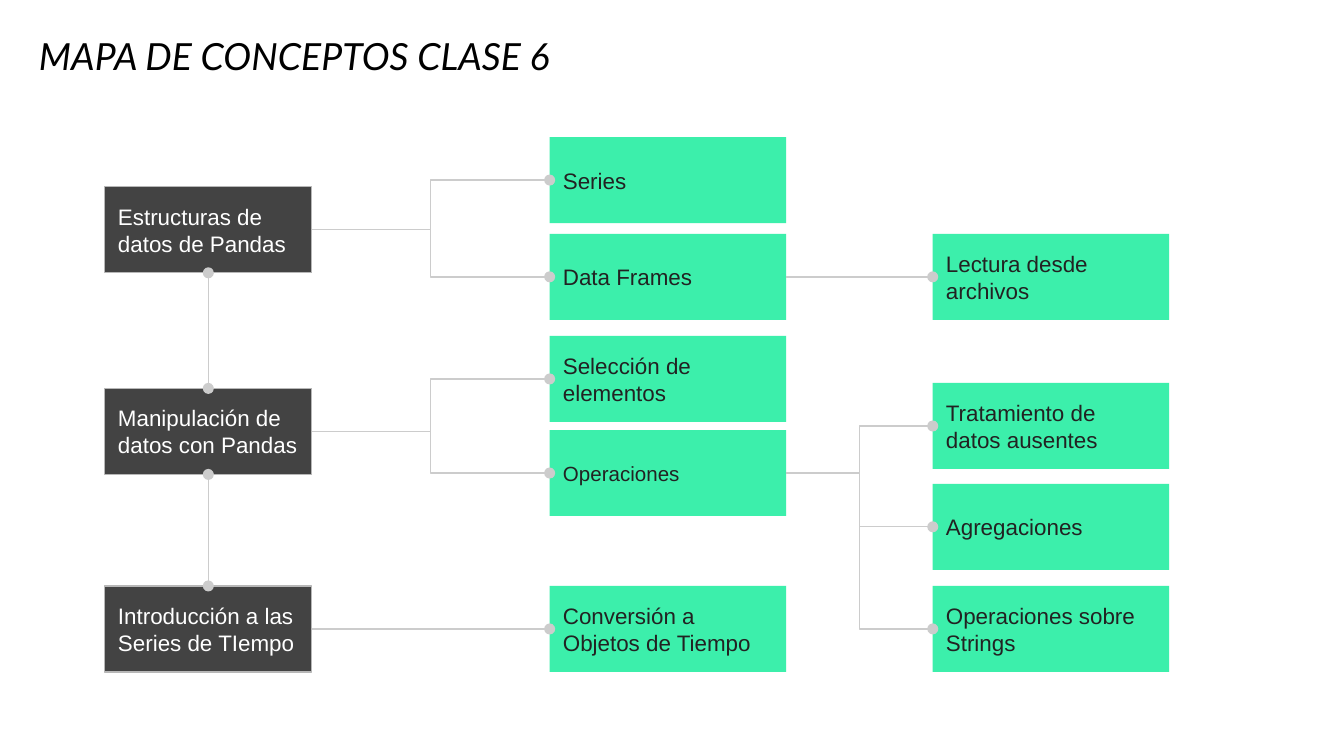
import pptx
import pptx.util
import pptx.dml.color
import pptx.enum.shapes
import pptx.enum.text
import pptx.oxml.ns
from lxml import etree

Inches, Pt = pptx.util.Inches, pptx.util.Pt
RGB = pptx.dml.color.RGBColor.from_string
SHAPE = pptx.enum.shapes.MSO_SHAPE.RECTANGLE
LINK = pptx.enum.shapes.MSO_CONNECTOR
TEXT = pptx.enum.text
qn = pptx.oxml.ns.qn

# Content: key -> (column, top, text)
TITLE = "MAPA DE CONCEPTOS CLASE 6"
CONCEPTS = {
    "structures": (0, 1.39, "Estructuras de datos de Pandas"),
    "handling": (0, 2.89, "Manipulación de datos con Pandas"),
    "time": (0, 4.36, "Introducción a las Series de TIempo"),
    "series": (1, 1.02, "Series"),
    "frames": (1, 1.74, "Data Frames"),
    "selection": (1, 2.5, "Selección de elementos"),
    "operations": (1, 3.2, "Operaciones"),
    "conversion": (1, 4.36, "Conversión a Objetos de Tiempo"),
    "reading": (2, 1.74, "Lectura desde archivos"),
    "missing": (2, 2.85, "Tratamiento de datos ausentes"),
    "aggregation": (2, 3.6, "Agregaciones"),
    "strings": (2, 4.36, "Operaciones sobre Strings"),
}
SPINE = ["structures", "handling", "time"]
BRANCHES = {
    "structures": ["series", "frames"],
    "handling": ["selection", "operations"],
    "time": ["conversion"],
    "frames": ["reading"],
    "operations": ["missing", "aggregation", "strings"],
}

# Theme and grid
THEME = {
    "dark": "434343", "dark_text": "FFFFFF", "border": "B7B7B7",
    "green": "3CEFAB", "green_text": "222222", "link": "CCCCCC",
    "title": "000000", "title_font": "Lato", "body_font": "Arial",
    "title_size": 20, "body_size": 12, "small_size": 11, "line": 0.75,
}
SMALL = {"operations"}
SLIDE_WIDTH = 10
SLIDE_HEIGHT = SLIDE_WIDTH * 9 / 16
COLUMNS = [(0.78, 1.54), (4.09, 1.76), (6.94, 1.76)]  # left, width
BOX_HEIGHT = 0.64
TOP, LEFT, BOTTOM, RIGHT = range(4)  # connection sites of a rectangle


def write(shape, text, font, size, color, anchor, italic=False):
    tf = shape.text_frame
    tf.word_wrap = True
    tf.auto_size = TEXT.MSO_AUTO_SIZE.NONE
    tf.vertical_anchor = anchor
    tf.margin_left = tf.margin_right = tf.margin_top = tf.margin_bottom = Inches(0.1)
    p = tf.paragraphs[0]
    p.alignment = TEXT.PP_ALIGN.LEFT
    r = p.add_run()
    r.text = text
    r.font.name, r.font.size, r.font.italic = font, Pt(size), italic
    r.font.color.rgb = RGB(color)


def add_box(s, key):
    column, top, text = CONCEPTS[key]
    left, width = COLUMNS[column]
    tone = "green" if column else "dark"
    box = s.shapes.add_shape(SHAPE, Inches(left), Inches(top), Inches(width), Inches(BOX_HEIGHT))
    box.shadow.inherit = False
    box.fill.solid()
    box.fill.fore_color.rgb = RGB(THEME[tone])
    if column:
        box.line.fill.background()
    else:
        box.line.color.rgb = RGB(THEME["border"])
        box.line.width = Pt(THEME["line"])
    size = THEME["small_size" if key in SMALL else "body_size"]
    write(box, text, THEME["body_font"], size, THEME[tone + "_text"], TEXT.MSO_ANCHOR.MIDDLE)
    return box


def link(s, start, start_site, end, end_site, kind, ends):
    c = s.shapes.add_connector(kind, 0, 0, 0, 0)
    c.begin_connect(start, start_site)
    c.end_connect(end, end_site)
    c.line.color.rgb = RGB(THEME["link"])
    c.line.width = Pt(THEME["line"])
    ln = c.line._get_or_add_ln()
    for end_name in ends:
        etree.SubElement(ln, qn("a:" + end_name), type="oval", w="med", len="med")
    etree.SubElement(c._element.spPr, qn("a:effectLst"))


prs = pptx.Presentation()
prs.slide_width, prs.slide_height = Inches(SLIDE_WIDTH), Inches(SLIDE_HEIGHT)
s = prs.slides.add_slide(prs.slide_layouts[5])

# Title
title = s.shapes.title
title.left, title.top, title.width, title.height = map(Inches, (0.19, 0.22, 8.26, 0.46))
write(title, TITLE, THEME["title_font"], THEME["title_size"], THEME["title"],
      TEXT.MSO_ANCHOR.BOTTOM, italic=True)

# Concept boxes
boxes = {key: add_box(s, key) for key in CONCEPTS}

# Spine between the main topics
for upper, lower in zip(SPINE, SPINE[1:]):
    link(s, boxes[upper], BOTTOM, boxes[lower], TOP, LINK.STRAIGHT, ["headEnd", "tailEnd"])

# Branches to the right, straight when both boxes share a row
for parent, children in BRANCHES.items():
    for child in children:
        level = boxes[parent].top == boxes[child].top
        kind = LINK.STRAIGHT if level else LINK.ELBOW
        link(s, boxes[parent], RIGHT, boxes[child], LEFT, kind, ["tailEnd"])

prs.save("out.pptx")
